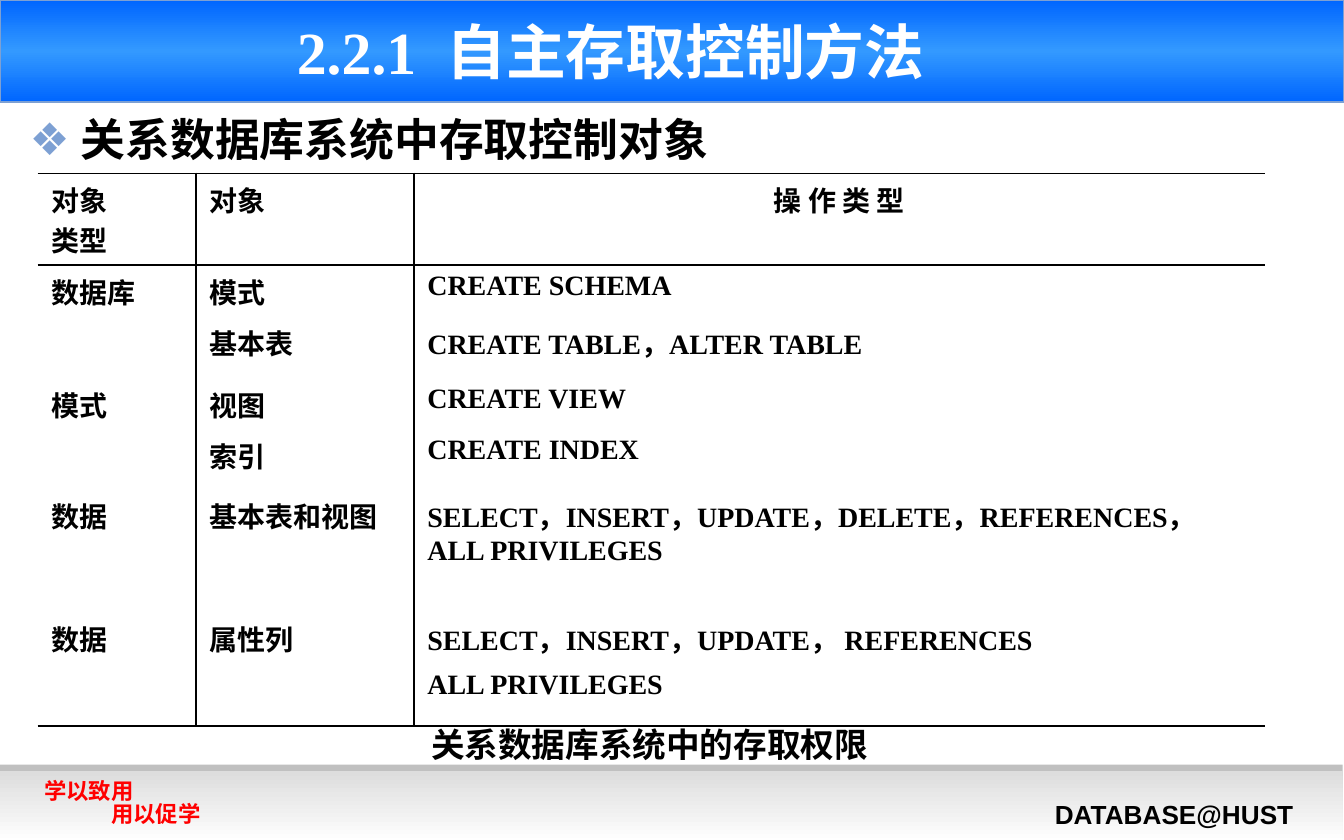
from copy import deepcopy

from lxml.etree import SubElement
from pptx import Presentation
from pptx.dml.color import RGBColor
from pptx.enum.shapes import MSO_SHAPE
from pptx.enum.text import MSO_ANCHOR, MSO_AUTO_SIZE, PP_ALIGN
from pptx.oxml.ns import qn
from pptx.util import Pt

PX = 9144  # one px is a hundredth of an inch
SERIF, SANS, CJK = "Times New Roman", "Arial", "Noto Sans CJK SC"
BLACK, WHITE, RED, STEEL = "000000", "FFFFFF", "FF0000", "7DA0D3"

COLUMNS = [118, 162, 633]
ROWS = [
    (61, ["对象\n类型", "对象", "操 作 类 型"]),
    (36, ["数据库", "模式", "CREATE SCHEMA"]),
    (46, ["", "基本表", "CREATE TABLE，ALTER TABLE"]),
    (36, ["模式", "视图", "CREATE VIEW"]),
    (45, ["", "索引", "CREATE INDEX"]),
    (87, ["数据", "基本表和视图",
          "SELECT，INSERT，UPDATE，DELETE，REFERENCES，\nALL PRIVILEGES"]),
    (36, ["数据", "属性列", "SELECT，INSERT，UPDATE， REFERENCES"]),
    (46, ["", "", "ALL PRIVILEGES"]),
]


def px(*values):
    return [v * PX for v in values]


def rgb(code):
    return RGBColor.from_string(code)


def add_run(p, text, size, font, color=BLACK):
    r = p.add_run()
    r.text = text
    r.font.size, r.font.bold, r.font.name = Pt(size), True, font
    r.font.color.rgb = rgb(color)
    SubElement(r._r.get_or_add_rPr(), qn("a:ea")).set("typeface", CJK)


def add_lines(tf, lines, size, font, color=BLACK, spacing=None):
    for i, line in enumerate(lines):
        p = tf.paragraphs[0] if i == 0 else tf.add_paragraph()
        if spacing:
            p.line_spacing = spacing
        add_run(p, line, size, font, color)


def add_rect(slide, box, colors, line=None):
    """Rectangle filled with one colour, or with colours blended downwards."""
    sp = slide.shapes.add_shape(MSO_SHAPE.RECTANGLE, *px(*box))
    sp.shadow.inherit = False
    if len(colors) == 1:
        sp.fill.solid()
        sp.fill.fore_color.rgb = rgb(colors[0])
    else:
        sp.fill.gradient()
        sp.fill.gradient_angle = 270
        stops = sp._element.spPr.find(".//" + qn("a:gsLst"))
        if len(colors) == 3:
            stops.insert(1, deepcopy(stops[0]))
        for i, (stop, color) in enumerate(zip(sp.fill.gradient_stops, colors)):
            stop.position = i / (len(colors) - 1)
            stop.color.rgb = rgb(color)
    if line:
        sp.line.color.rgb = rgb(line)
        sp.line.width = Pt(0.75)
    else:
        sp.line.fill.background()


def add_text(slide, box, lines, size, font, color=BLACK, spacing=None, wrap=True):
    tf = slide.shapes.add_textbox(*px(*box)).text_frame
    tf.word_wrap = wrap
    add_lines(tf, lines, size, font, color, spacing)
    return tf


def place(ph, box):
    """Move a placeholder to its box, in front of the parts drawn so far."""
    ph.left, ph.top, ph.width, ph.height = px(*box)
    ph._element.getparent().append(ph._element)
    tf = ph.text_frame
    tf.auto_size = MSO_AUTO_SIZE.NONE
    tf.word_wrap = True
    return tf


def header(slide, x, y, w, h):
    add_rect(slide, (x, y, w, h), ["0066FF", "3399FF", "0066FF"], STEEL)
    tf = place(slide.shapes.title, (x, y, w - 91, h))
    tf.vertical_anchor = MSO_ANCHOR.MIDDLE
    p = tf.paragraphs[0]
    p.alignment = PP_ALIGN.CENTER
    add_run(p, "2.2.1  ", 32, SERIF, WHITE)
    add_run(p, "自主存取控制方法", 32, SANS, WHITE)


def footer(slide, x, y, w, h):
    add_rect(slide, (x, y, w, 24), ["C0C0C0"])
    add_rect(slide, (x, y + 5, w, h - 5), ["DDDDDD", WHITE])
    add_text(slide, (x + 23, y + 7, 200, 50), ["学以致用", "\t用以促学"],
             12, SANS, RED, spacing=0.87)
    add_text(slide, (x + 775, y + 20, 209, 34), ["DATABASE@HUST"], 14, SANS, wrap=False)


def topic(slide, x, y, w, h):
    p = place(slide.placeholders[1], (x, y, w, h)).paragraphs[0]
    p.line_spacing = 0.9
    p.space_before = Pt(0)
    pPr = p._p.get_or_add_pPr()
    pPr.set("marL", str(38 * PX))
    pPr.set("indent", str(-38 * PX))
    SubElement(SubElement(pPr, qn("a:buClr")), qn("a:srgbClr")).set("val", STEEL)
    SubElement(pPr, qn("a:buChar")).set("char", "❖")
    add_run(p, "关系数据库系统中存取控制对象", 24, CJK)


def set_borders(cell, sides):
    tcPr = cell._tc.get_or_add_tcPr()
    for side in "LRTB":
        ln = SubElement(tcPr, qn("a:ln" + side), w=str(Pt(1)))
        if side in sides:
            SubElement(SubElement(ln, qn("a:solidFill")), qn("a:srgbClr")).set("val", BLACK)
        else:
            SubElement(ln, qn("a:noFill"))


def privilege_table(slide, x, y):
    last_row, last_col = len(ROWS) - 1, len(COLUMNS) - 1
    box = (x, y, sum(COLUMNS), sum(h for h, _ in ROWS))
    table = slide.shapes.add_table(len(ROWS), len(COLUMNS), *px(*box)).table
    table.first_row = table.horz_banding = False
    for column, width in zip(table.columns, COLUMNS):
        column.width = width * PX
    for i, (height, texts) in enumerate(ROWS):
        table.rows[i].height = height * PX
        for j, text in enumerate(texts):
            cell = table.cell(i, j)
            cell.margin_left = cell.margin_right = 10 * PX
            cell.margin_top = cell.margin_bottom = 4 * PX
            # Rules between columns, around the header row and at the bottom
            rules = {"L": j > 0, "R": j < last_col, "T": i < 2, "B": i in (0, last_row)}
            set_borders(cell, [side for side, on in rules.items() if on])
            cell.fill.background()
            if text:
                add_lines(cell.text_frame, text.split("\n"), 15, SERIF)
    table.cell(0, last_col).text_frame.paragraphs[0].alignment = PP_ALIGN.CENTER


def caption(slide, x, y, w, h):
    tf = add_text(slide, (x, y, w, h), ["关系数据库系统中的存取权限"], 18, CJK, wrap=False)
    tf.vertical_anchor = MSO_ANCHOR.MIDDLE


def main():
    prs = Presentation()
    prs.slide_width, prs.slide_height = px(1000, 625)
    slide = prs.slides.add_slide(prs.slide_layouts[1])
    header(slide, 0, 0, 1000, 76)
    footer(slide, 0, 569, 999, 58)
    topic(slide, 12, 83, 543, 39)
    privilege_table(slide, 28, 129)
    caption(slide, 311, 534, 362, 40)
    prs.save("out.pptx")


if __name__ == "__main__":
    main()
